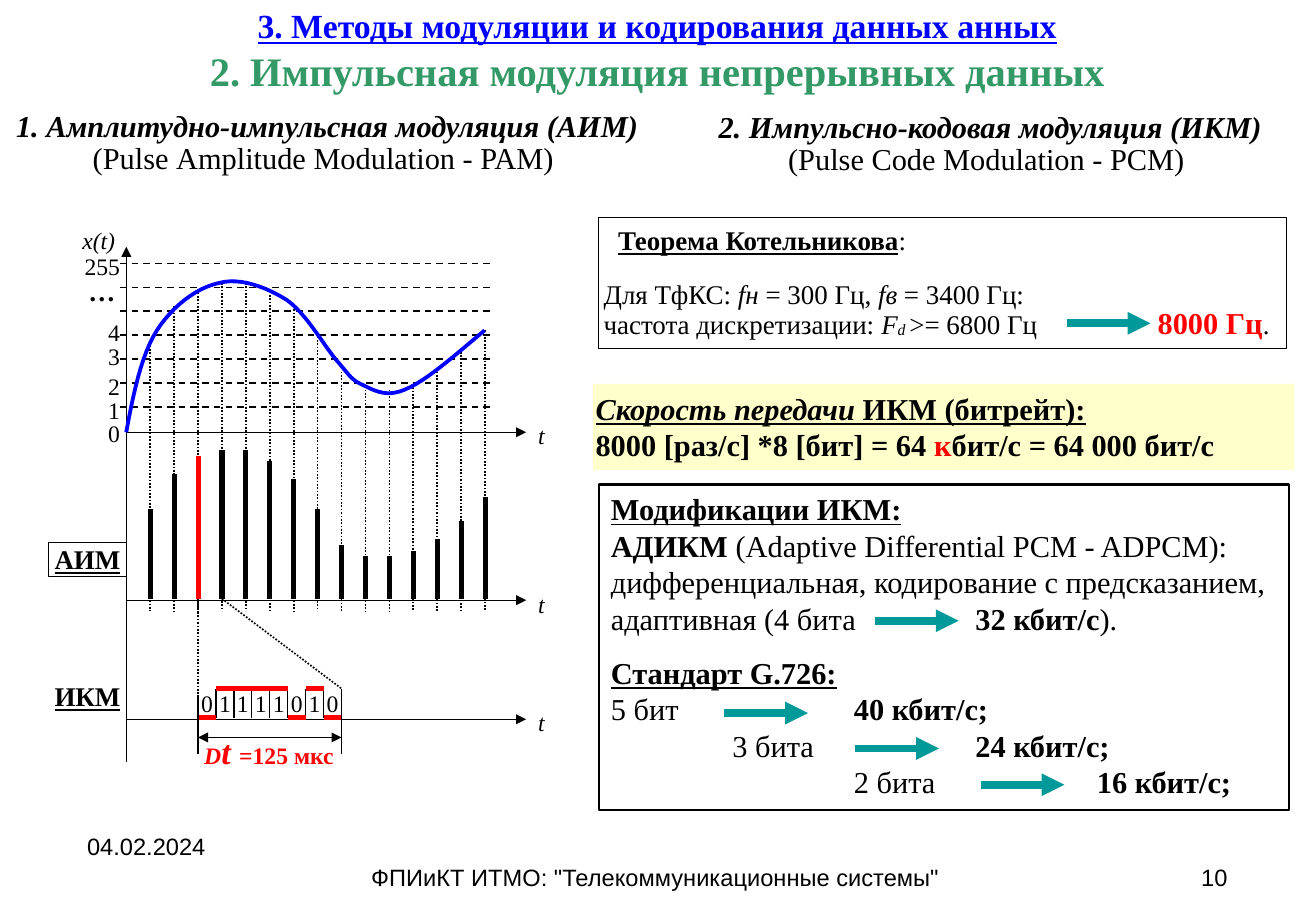
from lxml.etree import SubElement
from pptx import Presentation
from pptx.dml.color import RGBColor
from pptx.enum.dml import MSO_LINE
from pptx.enum.shapes import MSO_CONNECTOR, MSO_SHAPE
from pptx.enum.text import MSO_ANCHOR, PP_ALIGN
from pptx.oxml.ns import qn
from pptx.util import Cm, Pt

BLACK = RGBColor(0x00, 0x00, 0x00)
WHITE = RGBColor(0xFF, 0xFF, 0xFF)
RED = RGBColor(0xFF, 0x00, 0x00)
BLUE = RGBColor(0x00, 0x00, 0xFF)
GREEN = RGBColor(0x33, 0x99, 0x66)
TEAL = RGBColor(0x00, 0x99, 0x99)
CREAM = RGBColor(0xFF, 0xFF, 0xCC)
SERIF, SANS = "Times New Roman", "Arial"
LEFT, CENTER, RIGHT = PP_ALIGN.LEFT, PP_ALIGN.CENTER, PP_ALIGN.RIGHT

BOLD = {"bold": True}
ITALIC = {"italic": True}
BOLD_ITALIC = {"bold": True, "italic": True}
HEADING = {"bold": True, "underline": True}

prs = Presentation()
prs.slide_width, prs.slide_height = Cm(27.51), Cm(19.05)
slide = prs.slides.add_slide(prs.slide_layouts[6])
shapes = slide.shapes


def write(left, top, width, height, paragraphs, size=14, font=SERIF, align=CENTER,
          anchor=MSO_ANCHOR.TOP, pad=(0, 0), spacing=None, before=None, tabs=None,
          fill=None, outline=None):
    """Place paragraphs, each a list of (text, style); before and tabs go by paragraph index."""
    area = Cm(left), Cm(top), Cm(width), Cm(height)
    if fill or outline:
        box = shapes.add_shape(MSO_SHAPE.RECTANGLE, *area)
        box.shadow.inherit = False
        if fill:
            box.fill.solid()
            box.fill.fore_color.rgb = fill
        else:
            box.fill.background()
        if outline:
            box.line.color.rgb = BLACK
            box.line.width = Pt(outline)
        else:
            box.line.fill.background()
    else:
        box = shapes.add_textbox(*area)
    frame = box.text_frame
    frame.word_wrap = True
    frame.vertical_anchor = anchor
    frame.margin_left = frame.margin_right = Cm(pad[0])
    frame.margin_top = frame.margin_bottom = Cm(pad[1])
    for i, runs in enumerate(paragraphs):
        paragraph = frame.paragraphs[0] if i == 0 else frame.add_paragraph()
        paragraph.alignment = align
        if spacing:
            paragraph.line_spacing = spacing
        if before and i in before:
            paragraph.space_before = Pt(before[i])
        if tabs and i in tabs:
            stops = SubElement(paragraph._p.get_or_add_pPr(), qn("a:tabLst"))
            for stop in tabs[i]:
                SubElement(stops, qn("a:tab"), pos=str(Cm(stop)), algn="l")
        for text, style in runs:
            run = paragraph.add_run()
            run.text = text
            run.font.name = font
            run.font.size = Pt(style.get("size", size))
            run.font.bold = style.get("bold", False)
            run.font.italic = style.get("italic", False)
            run.font.underline = style.get("underline", False)
            run.font.color.rgb = style.get("color", BLACK)
            if "baseline" in style:
                run._r.get_or_add_rPr().set("baseline", style["baseline"])


def draw_line(x1, y1, x2, y2, color=BLACK, width=0.75, dash=None, ends=()):
    line = shapes.add_connector(MSO_CONNECTOR.STRAIGHT, Cm(x1), Cm(y1), Cm(x2), Cm(y2))
    line.line.color.rgb = color
    line.line.width = Pt(width)
    if dash:
        line.line.dash_style = dash
    for end in ends:
        SubElement(line.line._get_or_add_ln(), qn(f"a:{end}"), type="triangle")
    SubElement(line._element.spPr, qn("a:effectLst"))


# Footer, title and column headings
write(1.57, 17.27, 6.43, 0.79, [[("04.02.2024", {})]], font=SANS, align=LEFT, pad=(0.25, 0.13))
write(7.26, 17.91, 12.88, 0.76, [[('ФПИиКТ ИТМО: "Телекоммуникационные системы"', {})]],
      font=SANS, pad=(0.25, 0.13))
write(19.48, 17.91, 6.43, 0.76, [[("10", {})]], font=SANS, align=RIGHT, pad=(0.25, 0.13))
write(0.43, 0.1, 26.62, 1.88, [
    [("3. Методы модуляции и кодирования данных анных", {**HEADING, "size": 20, "color": BLUE})],
    [("2. Импульсная модуляция непрерывных данных", {**BOLD, "size": 24, "color": GREEN})],
], anchor=MSO_ANCHOR.MIDDLE, pad=(0.1, 0))
for left, top, width, method, english in (
        (0.25, 2.29, 13.18, "1. Амплитудно-импульсная модуляция (АИМ) ",
         "(Pulse Аmplitude Modulation - PAM) "),
        (14.58, 2.31, 12.24, "2. Импульсно-кодовая модуляция (ИКМ)",
         "(Pulse Code Modulation - PCM) ")):
    write(left, top, width, 1.45, [[(method, BOLD_ITALIC)], [(english, {})]],
          size=18, pad=(0.05, 0.03), spacing=0.9)

# Sampling grid, pulses and quantization levels
ORIGIN_X, PERIOD, PULSE_BASE = 2.64, 0.5, 12.52
sample_tops = [7.16, 6.4, 6.05, 5.92, 5.92, 6.17, 6.4, 7.04, 7.77, 8.15, 8.15, 8.03,
               7.77, 7.29, 6.91]
pulse_tops = [10.64, 9.91, 9.53, 9.4, 9.4, 9.65, 10.01, 10.64, 11.4, 11.63, 11.63, 11.53,
              11.28, 10.9, 10.39]
CODED_PULSE = 3
for n, (sample_top, pulse_top) in enumerate(zip(sample_tops, pulse_tops), start=1):
    x = ORIGIN_X + n * PERIOD
    draw_line(x, sample_top, x, 12.78, width=1, dash=MSO_LINE.ROUND_DOT)
    draw_line(x, PULSE_BASE, x, pulse_top, RED if n == CODED_PULSE else BLACK, 3)
for level in range(7):
    y = 5.51 + level * PERIOD
    draw_line(2.51, y, 10.26, y, width=1, dash=MSO_LINE.DASH)
for label, top in (("255", 5.26), ("4", 6.65), ("3", 7.16), ("2", 7.77), ("1", 8.28),
                   ("0", 8.76)):
    write(1.63, top, 0.88, 0.61, [[(label, {})]], align=RIGHT)
write(1.75, 5.74, 0.76, 0.69, [[("…", BOLD)]], size=16)

# Axes
draw_line(ORIGIN_X, 15.93, ORIGIN_X, 5.16, ends=["tailEnd"])
write(1.57, 4.72, 0.99, 0.61, [[("x(t)", ITALIC)]])
for axis_y, label_top in ((9.04, 8.81), (12.55, 12.34), (15.04, 14.81)):
    draw_line(ORIGIN_X, axis_y, 11, axis_y, ends=["tailEnd"])
    write(11.13, label_top, 0.38, 0.61, [[("t", ITALIC)]])
write(1.02, 11.35, 1.62, 0.71, [[("АИМ", HEADING)]], size=16, outline=0.75)
write(1.02, 14.22, 1.62, 0.69, [[("ИКМ", HEADING)]], size=16)

# Continuous signal x(t), sampled along its Bezier segments
signal_start = (2.64, 9.04)
signal_segments = [
    ((2.79, 8.23), (2.95, 7.44), (3.28, 6.91)),
    ((3.61, 6.4), (4.11, 6.02), (4.57, 5.92)),
    ((5.03, 5.79), (5.59, 6.02), (5.99, 6.27)),
    ((6.4, 6.55), (6.78, 7.24), (7.04, 7.54)),
    ((7.29, 7.82), (7.32, 7.92), (7.54, 8.03)),
    ((7.77, 8.13), (8.03, 8.33), (8.46, 8.15)),
    ((8.89, 7.98), (9.5, 7.44), (10.13, 6.91)),
]
STEPS = 12
signal_points = []
start = signal_start
for first, second, end in signal_segments:
    for step in range(1, STEPS + 1):
        u = step / STEPS
        weights = (1 - u) ** 3, 3 * u * (1 - u) ** 2, 3 * u ** 2 * (1 - u), u ** 3
        corners = start, first, second, end
        signal_points.append(tuple(
            Cm(sum(w * corner[axis] for w, corner in zip(weights, corners))) for axis in (0, 1)))
    start = end
outline_builder = shapes.build_freeform(Cm(signal_start[0]), Cm(signal_start[1]))
outline_builder.add_line_segments(signal_points, close=False)
signal = outline_builder.convert_to_shape()
signal.shadow.inherit = False
signal.fill.background()
signal.line.color.rgb = BLUE
signal.line.width = Pt(2.25)

# Code word of the red pulse
CODE_LEFT, BIT_WIDTH, HIGH, LOW = 4.14, 0.375, 14.4, 15.01
code = "01111010"
code_right = CODE_LEFT + len(code) * BIT_WIDTH
for i, bit in enumerate(code):
    x = CODE_LEFT + i * BIT_WIDTH
    write(x, HIGH, BIT_WIDTH, 0.61, [[(bit, {})]])
    if i:
        draw_line(x, HIGH, x, LOW)
for i, bit in enumerate(code):
    x = CODE_LEFT + i * BIT_WIDTH
    y = HIGH if bit == "1" else LOW
    draw_line(x, y, x + BIT_WIDTH, y, RED, 3)
draw_line(CODE_LEFT, 14.53, CODE_LEFT, 15.77)
draw_line(code_right, HIGH, code_right, 15.77)
draw_line(CODE_LEFT, PULSE_BASE, CODE_LEFT, 15.44, width=1, dash=MSO_LINE.ROUND_DOT)
draw_line(CODE_LEFT + PERIOD, PULSE_BASE, code_right, HIGH, width=1, dash=MSO_LINE.ROUND_DOT)
draw_line(CODE_LEFT, 15.42, code_right, 15.42, ends=["headEnd", "tailEnd"])
write(4.27, 15.29, 2.87, 0.84, [[
    ("D", {**BOLD_ITALIC, "color": RED}), ("t ", {**BOLD_ITALIC, "color": RED, "size": 20}),
    ("=125 мкс", {**BOLD, "color": RED})]], align=LEFT)

# Sampling theorem, bit rate and PCM variants
write(12.52, 4.55, 14.38, 2.74, [[("Теорема Котельникова", HEADING), (":", {})]],
      size=16, align=LEFT, pad=(0.4, 0.13), outline=0.75)
write(12.57, 5.77, 14.12, 1.5, [
    [("Для ТфКС: ", {}), ("fн", ITALIC), (" = 300 Гц, ", {}), ("fв", ITALIC),
     (" = 3400 Гц:", {})],
    [("частота дискретизации: ", {}), ("F", ITALIC), ("d ", {**ITALIC, "baseline": "-4000"}),
     (">= 6800 Гц\t", {}), ("8000 Гц", {**BOLD, "size": 18, "color": RED}), (".", {})],
], size=16, align=LEFT, pad=(0.05, 0.13), spacing=0.85, tabs={1: [11.58]})
write(12.4, 8.03, 14.66, 1.8, [
    [("Скорость передачи ", {**HEADING, "italic": True}), ("ИКМ (битрейт):", HEADING)],
    [("8000 [раз/с] *8 [бит] = 64 ", BOLD), ("к", {**BOLD, "color": RED}),
     ("бит/с = 64 000 бит/с", BOLD)],
], size=18, align=LEFT, pad=(0.05, 0.13), fill=CREAM)
write(12.52, 10.13, 14.43, 6.81, [
    [("Модификации ИКМ:", HEADING)],
    [("АДИКМ", BOLD), (" (Adaptive Differential PCM - ADPCM):", {})],
    [("дифференциальная, кодирование с предсказанием, адаптивная (4 бита\t", {}),
     ("32 кбит/с", BOLD), (").", {})],
    [("Стандарт G.726:", HEADING)],
    [("5 бит\t", {}), ("40 кбит/с;", BOLD)],
    [("\t3 бита\t", {}), ("24 кбит/с;", BOLD)],
    [("\t2 бита\t", {}), ("16 кбит/с;", BOLD)],
], size=18, align=LEFT, pad=(0.25, 0.13), before={3: 10.5}, fill=WHITE, outline=1.5,
    tabs={2: [7.62], 4: [5.08], 5: [2.54, 7.62], 6: [5.08, 10.16]})
for x, y in ((22.3, 6.76), (18.29, 12.98), (15.14, 14.91), (17.88, 15.65), (20.5, 16.41)):
    draw_line(x, y, x + 1.75, y, TEAL, 4.5, ends=["tailEnd"])

prs.save("out.pptx")
